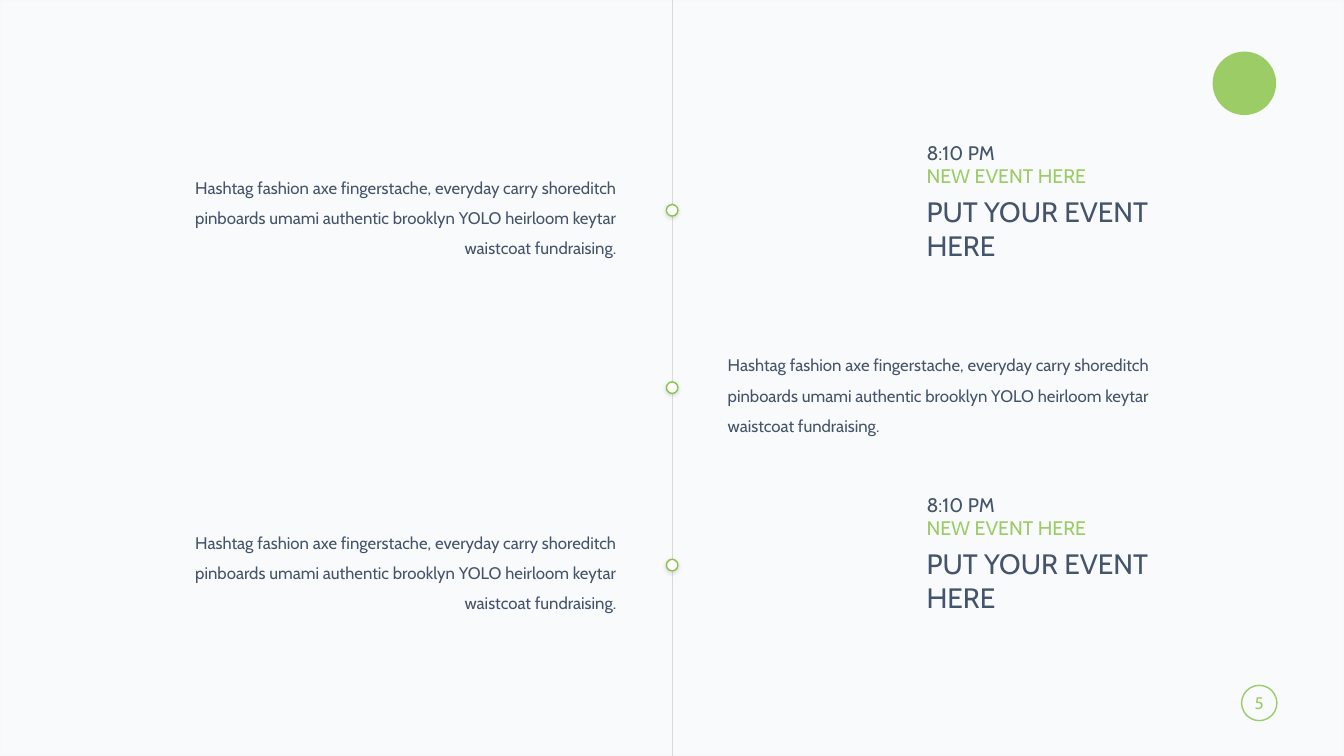
from dataclasses import dataclass

from lxml import etree
from pptx import Presentation
from pptx.dml.color import RGBColor
from pptx.enum.shapes import MSO_CONNECTOR, MSO_SHAPE
from pptx.enum.text import MSO_AUTO_SIZE, PP_ALIGN
from pptx.oxml import parse_xml
from pptx.oxml.ns import nsdecls, qn
from pptx.util import Cm, Pt

LEFT, CENTER, RIGHT = PP_ALIGN.LEFT, PP_ALIGN.CENTER, PP_ALIGN.RIGHT
OVAL, RECTANGLE, ROUNDED = MSO_SHAPE.OVAL, MSO_SHAPE.RECTANGLE, MSO_SHAPE.ROUNDED_RECTANGLE
STRAIGHT = MSO_CONNECTOR.STRAIGHT
FIT_SHAPE = MSO_AUTO_SIZE.SHAPE_TO_FIT_TEXT


@dataclass(frozen=True)
class Theme:
    font: str = "Cabin"
    navy: str = "44546A"
    lime: str = "9CCC65"
    green: str = "8BC34A"
    axis: str = "D9D9D9"
    tint: str = "7B8DB3"
    frame: str = "EBEBEB"
    white: str = "FFFFFF"
    body: int = 12
    label: int = 14
    heading: int = 20


theme = Theme()


def add_figure(kind, left, top, width, height, fill=None, line=None, weight=1):
    figure = page.shapes.add_shape(kind, Cm(left), Cm(top), Cm(width), Cm(height))
    figure.shadow.inherit = False
    if fill:
        figure.fill.solid()
        figure.fill.fore_color.rgb = RGBColor.from_string(fill)
    else:
        figure.fill.background()
    if line:
        figure.line.color.rgb = RGBColor.from_string(line)
        figure.line.width = Pt(weight)
    else:
        figure.line.fill.background()
    return figure


def add_text(left, top, width, height, lines, wrap=True, **layout):
    """Each line is (words, size, colour, points of space before)."""
    box = page.shapes.add_textbox(Cm(left), Cm(top), Cm(width), Cm(height))
    frame = box.text_frame
    frame.word_wrap = wrap
    frame.auto_size = FIT_SHAPE
    for index, (words, size, color, gap) in enumerate(lines):
        para = frame.add_paragraph() if index else frame.paragraphs[0]
        for name, value in {"space_before": Pt(gap), **layout}.items():
            setattr(para, name, value)
        span = para.add_run()
        span.text = words
        for name, value in {"name": theme.font, "size": Pt(size)}.items():
            setattr(span.font, name, value)
        span.font.color.rgb = RGBColor.from_string(color)


deck = Presentation()
deck.slide_width, deck.slide_height = Cm(33.87), Cm(19.05)
page = deck.slides.add_slide(deck.slide_layouts[6])

# Pale backdrop: fill 4 % opaque, frame 10 % opaque
backdrop = add_figure(RECTANGLE, 0, 0, 33.87, 19.05, theme.tint, theme.frame, 2)
for color, opacity in zip(backdrop.element.spPr.iter(qn("a:srgbClr")), (4, 10)):
    etree.SubElement(color, qn("a:alpha")).set("val", str(opacity * 1000))

# Emblem and page number
add_figure(OVAL, 30.56, 1.3, 1.6, 1.6, theme.lime)
badge = add_figure(ROUNDED, 31.29, 17.27, 0.89, 0.89, line=theme.lime)
badge.adjustments[0] = 0.5
add_text(31.25, 17.32, 0.97, 0.76, [("5", theme.body, theme.lime, 0)],
         wrap=False, alignment=CENTER)

# Timeline axis
AXIS_X = 16.94
axis = page.shapes.add_connector(STRAIGHT, Cm(AXIS_X), Cm(-0.15), Cm(AXIS_X), Cm(19.56))
axis.line.color.rgb = RGBColor.from_string(theme.axis)
axis.line.width = Pt(0.75)
etree.SubElement(axis.element.spPr, qn("a:effectLst"))

# Stops: marker and description, alternating sides of the axis
FIRST_Y, PITCH, DOT = 5.3, 4.47, 0.29
TEXT_WIDTH, TEXT_HEIGHT, GUTTER = 11.73, 2.57, 1.15
DESCRIPTION = ("Hashtag fashion axe fingerstache, everyday carry shoreditch pinboards umami "
               "authentic brooklyn YOLO heirloom keytar waistcoat fundraising.")
SOFT_SHADOW = (f'<a:outerShdw {nsdecls("a")} blurRad="{Pt(3)}" dist="{Pt(1)}" dir="5400000" '
               'algn="t" rotWithShape="0"><a:srgbClr val="000000"><a:alpha val="15000"/>'
               '</a:srgbClr></a:outerShdw>')
sides = [(AXIS_X - GUTTER - TEXT_WIDTH, RIGHT), (AXIS_X + GUTTER, LEFT)]
for stop in range(3):
    middle = FIRST_Y + stop * PITCH
    marker = add_figure(OVAL, AXIS_X - DOT / 2, middle - DOT / 2, DOT, DOT,
                        theme.white, theme.green)
    marker.element.spPr.find(qn("a:effectLst")).append(parse_xml(SOFT_SHADOW))
    left, alignment = sides[stop % 2]
    add_text(left, middle - 1.2, TEXT_WIDTH, TEXT_HEIGHT,
             [(DESCRIPTION, theme.body, theme.navy, 0)],
             alignment=alignment, line_spacing=1.5)

# Event headings beside the first and last stops
EVENT = [
    ("8:10 PM", theme.label, theme.navy, 0),
    ("NEW EVENT HERE", theme.label, theme.lime, 0),
    ("PUT YOUR EVENT", theme.heading, theme.navy, 5),
    ("HERE", theme.heading, theme.navy, 0),
]
for top in (3.42, 12.29):
    add_text(23.1, top, TEXT_WIDTH, 3.33, EVENT, alignment=LEFT)

deck.save("out.pptx")
